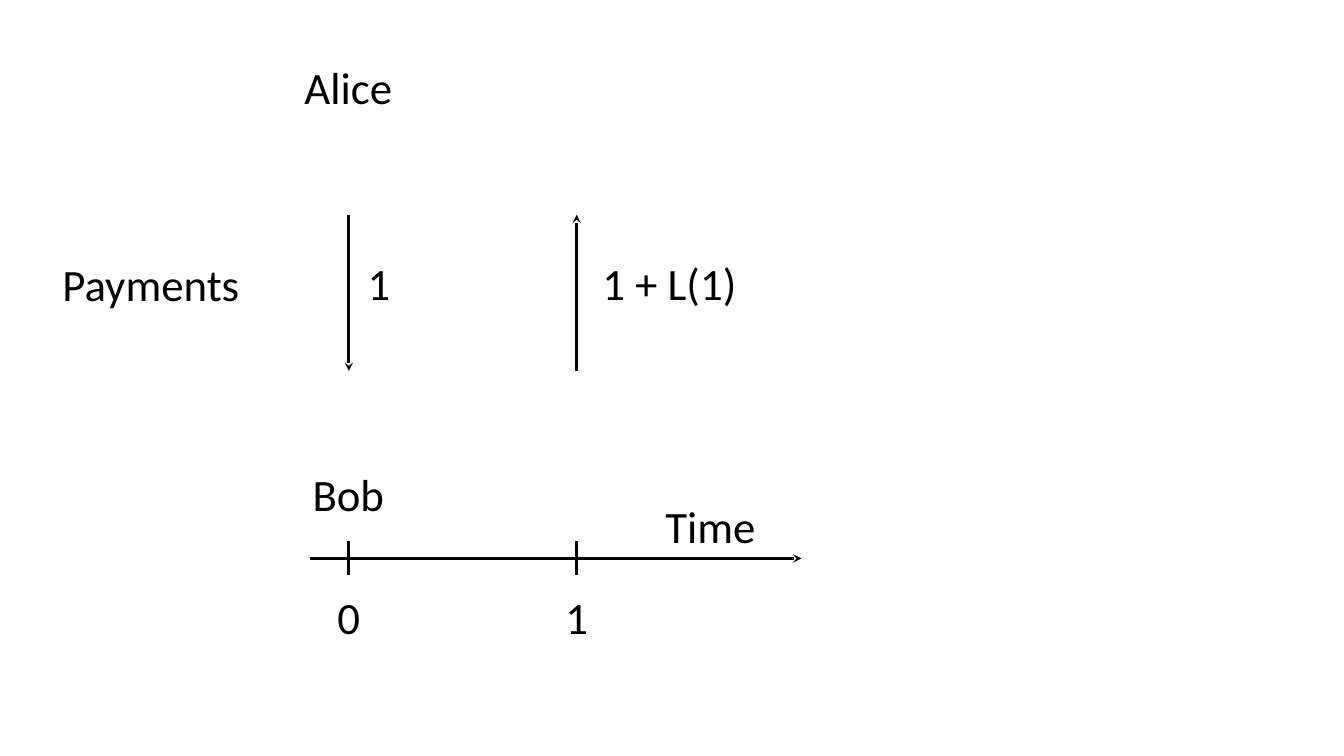
from dataclasses import dataclass

from lxml.etree import SubElement
from pptx import Presentation
from pptx.dml.color import RGBColor
from pptx.enum.shapes import MSO_CONNECTOR
from pptx.enum.text import MSO_AUTO_SIZE, PP_ALIGN
from pptx.oxml.ns import qn
from pptx.util import Inches, Pt


@dataclass(frozen=True)
class Theme:
    ink: RGBColor = RGBColor(0, 0, 0)
    face: str = "Calibri"
    size: int = 32
    line: int = 2
    row: float = 0.64
    step: float = 2.26


THEME = Theme()


def apply(item, values):
    for name, value in values.items():
        setattr(item, name, value)


def label(slide, text, left, top, width, align=PP_ALIGN.CENTER):
    box = slide.shapes.add_textbox(*map(Inches, (left, top, width, THEME.row)))
    frame = box.text_frame
    apply(frame, {"word_wrap": True, "auto_size": MSO_AUTO_SIZE.SHAPE_TO_FIT_TEXT})
    para = frame.paragraphs[0]
    apply(para, {"text": text, "alignment": align})
    font = para.runs[0].font
    apply(font, {"name": THEME.face, "size": Pt(THEME.size)})
    font.color.rgb = THEME.ink


def rule(slide, start, end, arrow=False):
    line = slide.shapes.add_connector(
        MSO_CONNECTOR.STRAIGHT, *map(Inches, (*start, *end))
    )
    line.line.width = Pt(THEME.line)
    line.line.color.rgb = THEME.ink
    if arrow:
        SubElement(line.line._get_or_add_ln(), qn("a:tailEnd"), type="stealth")
    SubElement(line._element.spPr, qn("a:effectLst"))


def draw_axis(slide, left, top, width):
    mid = top + 0.64
    rule(slide, (left, mid), (left + width, mid), True)
    for turn in range(2):
        tick = left + 0.39 + turn * THEME.step
        rule(slide, (tick, mid + 0.16), (tick, mid - 0.17))
        label(slide, str(turn), tick - 0.48, top + 0.9, 0.96)
    label(slide, "Time", left + 3.43, top, 1.24, PP_ALIGN.LEFT)


def draw_flows(slide, left, top, height):
    label(slide, "Payments", left, top + 0.37, 2.01, PP_ALIGN.LEFT)
    first = left + 2.94
    flows = [
        ("1", first, top, top + height, -0.18, 0.96),
        ("1 + L(1)", first + THEME.step, top + height, top, -0.13, 2.1),
    ]
    for text, x, start, end, shift, width in flows:
        rule(slide, (x, start), (x, end), True)
        label(slide, text, x + shift, top + 0.36, width)


def draw_names(slide, left, top, height):
    for name, y in (("Alice", top), ("Bob", top + height - THEME.row)):
        label(slide, name, left, y, 1.09)


def main():
    deck = Presentation()
    apply(deck, {"slide_width": Inches(13.33), "slide_height": Inches(7.5)})
    slide = deck.slides.add_slide(deck.slide_layouts[6])
    draw_axis(slide, 3.07, 4.9, 4.88)
    draw_names(slide, 2.91, 0.54, 4.68)
    draw_flows(slide, 0.52, 2.13, 1.55)
    deck.save("out.pptx")


if __name__ == "__main__":
    main()
